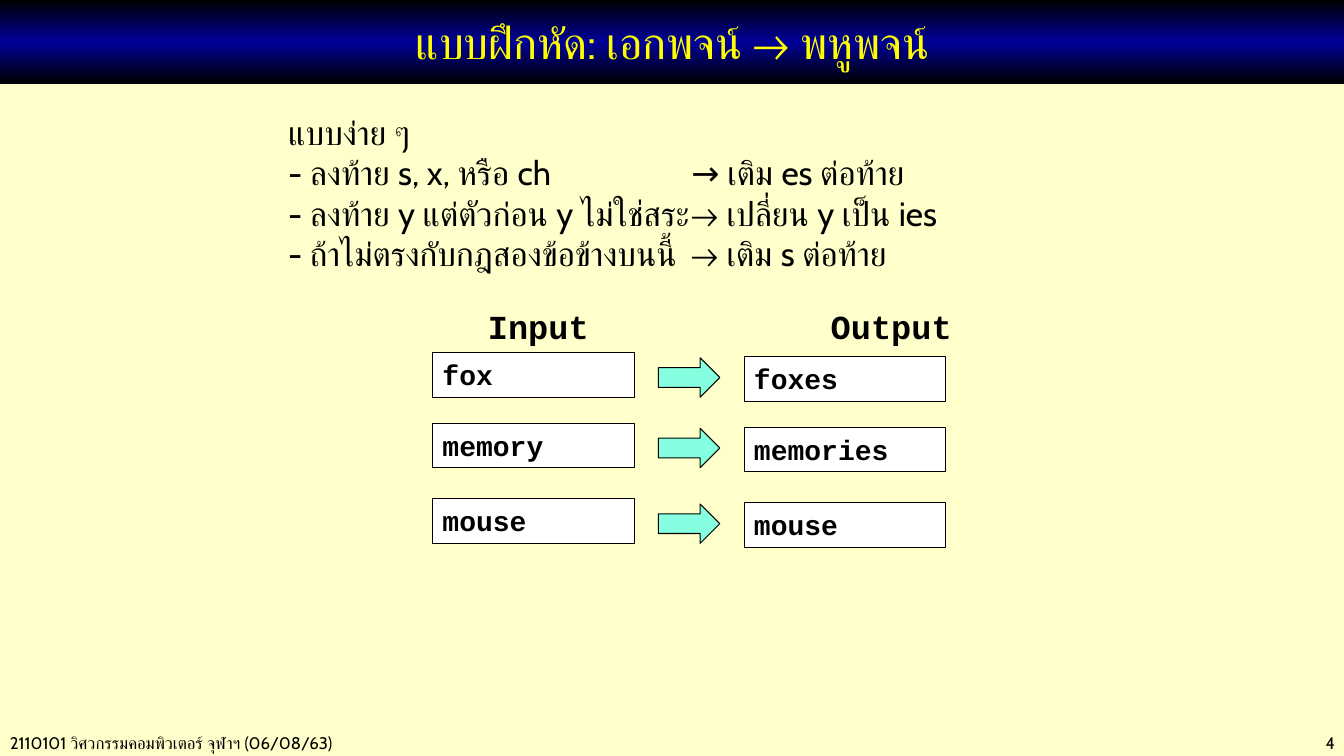
from copy import deepcopy

from lxml import etree
from pptx import Presentation
from pptx.dml.color import RGBColor
from pptx.enum import shapes, text
from pptx.oxml.ns import qn
from pptx.util import Inches, Pt

BLACK = RGBColor(0x00, 0x00, 0x00)
NAVY = RGBColor(0x00, 0x00, 0x99)
YELLOW = RGBColor(0xFF, 0xFF, 0x00)
CREAM = RGBColor(0xFF, 0xFF, 0xCC)
WHITE = RGBColor(0xFF, 0xFF, 0xFF)
MINT = RGBColor(0x85, 0xFF, 0xE0)

TITLE = {"name": "Cabin", "size": Pt(32)}
BODY = {"name": "Cabin", "size": Pt(24)}
FOOTER = {"name": "Cabin", "size": Pt(12)}
HEADING = {"name": "Courier New", "size": Pt(24), "bold": True}
WORD = {"name": "Courier New", "size": Pt(20), "bold": True}

RULES = [
    "แบบง่าย ๆ",
    "- ลงท้าย s, x, หรือ ch\t→ เติม es ต่อท้าย",
    "- ลงท้าย y แต่ตัวก่อน y ไม่ใช่สระ\t→ เปลี่ยน y เป็น ies",
    "- ถ้าไม่ตรงกับกฎสองข้อข้างบนนี้\t→ เติม s ต่อท้าย",
]
EXAMPLES = [(3.5, "fox", "foxes"), (4.2, "memory", "memories"), (4.95, "mouse", "mouse")]


def write(sp, lines, fmt, color=BLACK, align=text.PP_ALIGN.LEFT,
          anchor=text.MSO_ANCHOR.TOP, tabs=()):
    tf = sp.text_frame
    tf.word_wrap = True
    tf.vertical_anchor = anchor
    for i, line in enumerate(lines):
        p = tf.add_paragraph() if i else tf.paragraphs[0]
        p.alignment = align
        if tabs:
            tab_list = etree.SubElement(p._p.get_or_add_pPr(), qn("a:tabLst"))
            for pos in tabs:
                etree.SubElement(tab_list, qn("a:tab"), pos=str(Inches(pos)), algn="l")
        r = p.add_run()
        r.text = line
        for key, value in fmt.items():
            setattr(r.font, key, value)
        r.font.color.rgb = color


def add_text(s, box, lines, fmt, **options):
    write(s.shapes.add_textbox(*map(Inches, box)), lines, fmt, **options)


def add_block(s, kind, box, fill):
    sp = s.shapes.add_shape(kind, *map(Inches, box))
    sp.shadow.inherit = False
    sp.fill.solid()
    sp.fill.fore_color.rgb = fill
    sp.line.color.rgb = BLACK
    sp.line.width = Pt(0.75)
    return sp


def add_title_bar(s, title):
    sp = s.shapes.add_shape(shapes.MSO_SHAPE.RECTANGLE, 0, 0, Inches(13.34), Inches(0.83))
    sp.shadow.inherit = False
    sp.line.fill.background()
    # Three-stop vertical gradient
    sp.fill.gradient()
    sp.fill.gradient_angle = 90
    stop_list = sp._element.spPr.find(".//" + qn("a:gsLst"))
    stop_list.append(deepcopy(stop_list[0]))
    for stop, pos, color in zip(sp.fill.gradient_stops, (0, 0.5, 1), (BLACK, NAVY, BLACK)):
        stop.position = pos
        stop.color.rgb = color
    write(sp, [title], TITLE, YELLOW, text.PP_ALIGN.CENTER, text.MSO_ANCHOR.MIDDLE)


def add_example(s, top, singular, plural):
    rect, arrow = shapes.MSO_SHAPE.RECTANGLE, shapes.MSO_SHAPE.RIGHT_ARROW
    write(add_block(s, rect, (4.29, top, 2, 0.44), WHITE), [singular], WORD)
    write(add_block(s, rect, (7.38, top + 0.04, 2, 0.44), WHITE), [plural], WORD)
    add_block(s, arrow, (6.53, top + 0.05, 0.61, 0.39), MINT)


def main():
    prs = Presentation()
    prs.slide_width, prs.slide_height = Inches(13.33), Inches(7.5)
    s = prs.slides.add_slide(prs.slide_layouts[6])
    s.background.fill.solid()
    s.background.fill.fore_color.rgb = CREAM

    # Footer
    add_text(s, (0, 7.22, 5.2, 0.3), ["2110101 วิศวกรรมคอมพิวเตอร์ จุฬาฯ (06/08/63)"], FOOTER)
    add_text(s, (11.5, 7.22, 1.84, 0.3), ["4"], FOOTER, align=text.PP_ALIGN.RIGHT)

    # Title and rules
    add_title_bar(s, "แบบฝึกหัด: เอกพจน์ → พหูพจน์")
    add_text(s, (2.76, 1.06, 8.14, 1.72), RULES, BODY, tabs=(4,))

    # Input and output examples
    add_text(s, (4.54, 2.99, 5.19, 0.51), ["\tInput\tOutput"], HEADING, tabs=(0.2, 3.6))
    for example in EXAMPLES:
        add_example(s, *example)

    prs.save("out.pptx")


if __name__ == "__main__":
    main()
